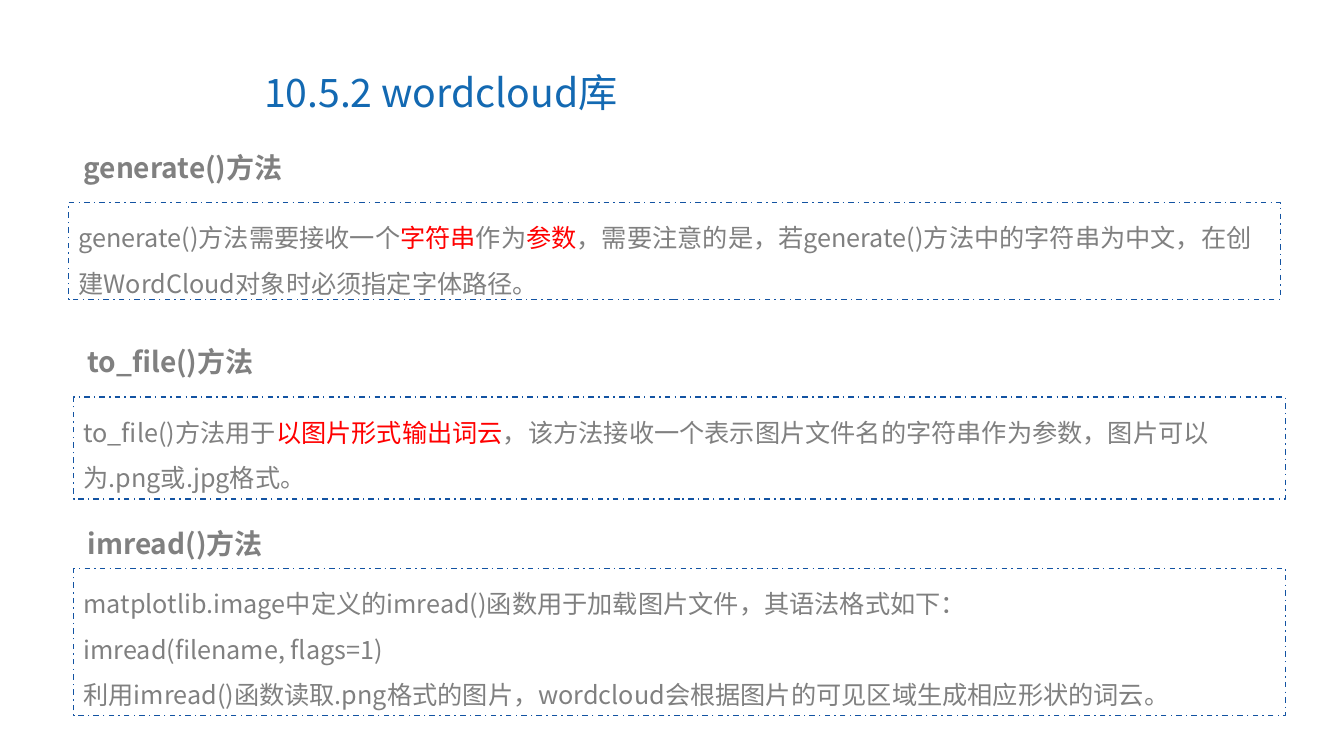
import pptx
import pptx.dml.color
import pptx.enum.dml
import pptx.enum.shapes
import pptx.enum.text
import pptx.oxml
import pptx.oxml.ns
import pptx.util
from pptx.util import Inches

FONT = "Noto Sans CJK SC"
COLORS = {"title": "1369B2", "body": "808080", "key": "FF0000", "line": "1353A2"}

TITLE = "10.5.2 wordcloud库"
PARTS = [
    ("generate()方法", (0.73, 1.28, 4.92, 0.55), (0.68, 2.01, 12.02, 0.96), [[
        ("generate()方法需要接收一个", "body"), ("字符串", "key"), ("作为", "body"),
        ("参数", "key"),
        ("，需要注意的是，若generate()方法中的字符串为中文，"
         "在创建WordCloud对象时必须指定字体路径。", "body")]]),
    ("to_file()方法", (0.77, 3.2, 4.92, 0.61), (0.73, 3.94, 12.02, 1.01), [[
        ("to_file()方法用于", "body"), ("以图片形式输出词云", "key"),
        ("，该方法接收一个表示图片文件名的字符串作为参数，"
         "图片可以为.png或.jpg格式。", "body")]]),
    ("imread()方法", (0.77, 5.01, 4.92, 0.61), (0.73, 5.64, 12.02, 1.46), [
        [("matplotlib.image中定义的imread()函数用于加载图片文件，"
          "其语法格式如下：", "body")],
        [("imread(filename, flags=1)", "body")],
        [("利用imread()函数读取.png格式的图片，"
          "wordcloud会根据图片的可见区域生成相应形状的词云。", "body")]]),
]


def color(name):
    return pptx.dml.color.RGBColor.from_string(COLORS[name])


def write(shape, paras, size=18, bold=False, space=1.5, anchor="TOP"):
    frame = shape.text_frame
    frame.word_wrap = True
    frame.auto_size = pptx.enum.text.MSO_AUTO_SIZE.NONE
    frame.vertical_anchor = getattr(pptx.enum.text.MSO_ANCHOR, anchor)
    for i, runs in enumerate(paras):
        para = frame.add_paragraph() if i else frame.paragraphs[0]
        para.alignment = pptx.enum.text.PP_ALIGN.LEFT
        para.line_spacing = space
        for text, tone in runs:
            run = para.add_run()
            run.text = text
            font = run.font
            font.name = FONT
            font.size = pptx.util.Pt(size)
            font.bold = bold
            font.color.rgb = color(tone)
            east = pptx.oxml.parse_xml(
                f'<a:ea {pptx.oxml.ns.nsdecls("a")} typeface="{FONT}"/>')
            run.font._element.append(east)


def label(slide, box, text, tone, **style):
    shape = slide.shapes.add_textbox(*map(Inches, box))
    write(shape, [[(text, tone)]], **style)


def panel(slide, box, paras):
    shape = slide.shapes.add_shape(
        pptx.enum.shapes.MSO_SHAPE.RECTANGLE, *map(Inches, box))
    shape.shadow.inherit = False
    shape.fill.background()
    shape.line.color.rgb = color("line")
    shape.line.width = pptx.util.Pt(1)
    shape.line.dash_style = pptx.enum.dml.MSO_LINE.DASH_DOT
    write(shape, paras)


def main():
    deck = pptx.Presentation()
    deck.slide_width = Inches(13.33)
    deck.slide_height = Inches(7.5)
    slide = deck.slides.add_slide(deck.slide_layouts[6])
    label(slide, (2.52, 0.35, 6.88, 0.85), TITLE, "title",
          size=28, space=0.9, anchor="BOTTOM")
    for head, top, box, paras in PARTS:
        label(slide, top, head, "body", size=20, bold=True)
        panel(slide, box, paras)
    deck.save("out.pptx")


if __name__ == "__main__":
    main()
